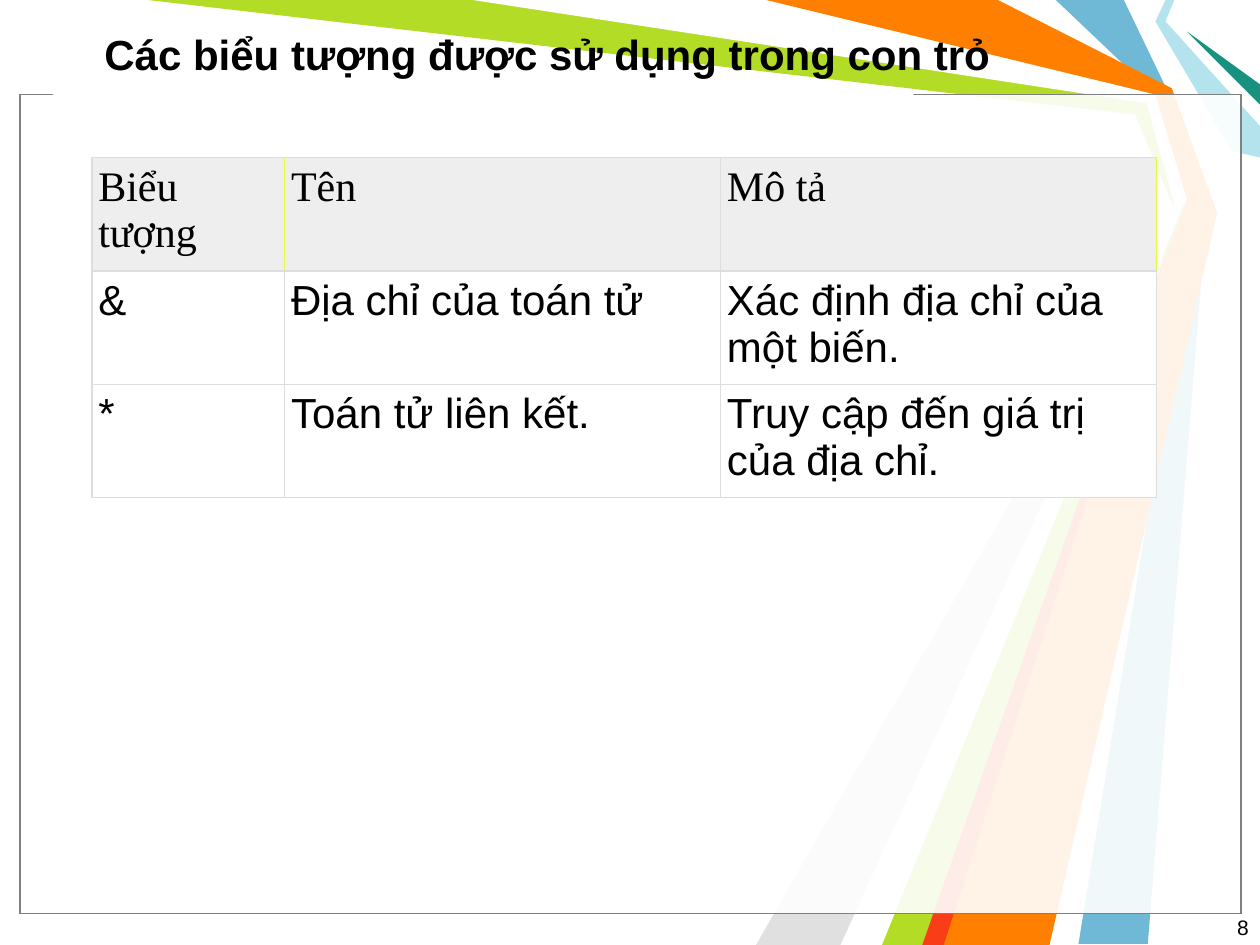
from lxml import etree
from pptx import Presentation
from pptx.dml.color import RGBColor
from pptx.enum.shapes import MSO_SHAPE
from pptx.enum.text import MSO_ANCHOR, PP_ALIGN
from pptx.oxml.ns import qn
from pptx.util import Inches, Pt

RECT = MSO_SHAPE.RECTANGLE
MIDDLE, TOP = MSO_ANCHOR.MIDDLE, MSO_ANCHOR.TOP
LEFT, RIGHT = PP_ALIGN.LEFT, PP_ALIGN.RIGHT

BLACK = RGBColor(0x00, 0x00, 0x00)
WHITE = RGBColor(0xFF, 0xFF, 0xFF)
BLUE = RGBColor(0x6F, 0xB9, 0xD7)
GREEN = RGBColor(0xB3, 0xDC, 0x27)
SILVER = RGBColor(0xE0, 0xE0, 0xE0)
PALE_BLUE = RGBColor(0xB4, 0xE3, 0xEE)
TEAL = RGBColor(0x18, 0x91, 0x80)
ORANGE = RGBColor(0xFF, 0x7F, 0x00)
RED = RGBColor(0xF9, 0x3D, 0x17)
GRAY = RGBColor(0x80, 0x80, 0x80)
HEADER_FILL = RGBColor(0xEE, 0xEE, 0xEE)
BORDER = RGBColor(0xDD, 0xDD, 0xDD)
YELLOW = RGBColor(0xE8, 0xFA, 0x3E)


def add_text(left, top, width, height, text, size, bold, align, anchor):
    tf = s.shapes.add_textbox(Inches(left), Inches(top), Inches(width), Inches(height)).text_frame
    tf.word_wrap = True
    tf.vertical_anchor = anchor
    tf.text = text
    p = tf.paragraphs[0]
    p.alignment = align
    font = p.runs[0].font
    font.name, font.size, font.bold = "Arial", Pt(size), bold
    font.color.rgb = BLACK


def set_borders(cell, colors):
    """Draw the left, right, top and bottom borders, in that order."""
    tcPr = cell._tc.get_or_add_tcPr()
    for i, (side, color) in enumerate(zip("LRTB", colors)):
        ln = etree.Element(qn(f"a:ln{side}"), w=str(Pt(0.75)))
        fill = etree.SubElement(ln, qn("a:solidFill"))
        etree.SubElement(fill, qn("a:srgbClr"), val=str(color))
        tcPr.insert(i, ln)


prs = Presentation()
prs.slide_width, prs.slide_height = Inches(10), Inches(7.5)
s = prs.slides.add_slide(prs.slide_layouts[6])
s.background.fill.solid()
s.background.fill.fore_color.rgb = WHITE

# Coloured ribbons, back to front
ribbons = [
    (BLUE, [(8.92, 0), (9.29, 0.77), (9.58, 1.67), (9.11, 7.49), (8.56, 7.49),
            (9.5, 1.67), (9.17, 0.75), (8.38, 0)]),
    (GREEN, [(1.17, 0), (3.83, 0), (9.14, 0.78), (9.42, 1.69), (7.42, 7.5),
             (6.92, 7.5), (9.35, 1.73), (9.01, 0.91)]),
    (SILVER, [(6.67, 7.5), (9.27, 1.81), (6, 7.5)]),
    (WHITE, [(3.75, 0), (9.1, 0.82), (9.32, 1.62), (6.75, 7.5), (7, 7.5),
             (9.41, 1.58), (9.17, 0.75), (6, 0)]),
    (PALE_BLUE, [(9.25, 0), (9.17, 0.17), (9.78, 1.2), (10, 1.25), (10, 1),
                 (9.25, 0.17), (9.32, 0)]),
    (TEAL, [(10, 0.83), (9.42, 0.25), (10, 0.67)]),
    (ORANGE, [(6.08, 0), (7.92, 0), (9.3, 0.7), (9.66, 1.69), (8.33, 7.5),
              (7.33, 7.5), (9.42, 1.58), (9.17, 0.75)]),
    (RED, [(7.32, 7.5), (9.32, 1.83), (7.49, 7.5)]),
]
for color, points in ribbons:
    start, *rest = [(Inches(x), Inches(y)) for x, y in points]
    builder = s.shapes.build_freeform(*start)
    builder.add_line_segments(rest, close=True)
    sp = builder.convert_to_shape()
    sp.shadow.inherit = False
    sp.fill.solid()
    sp.fill.fore_color.rgb = color
    sp.line.fill.background()

# Translucent content panel, laid twice
for line_color in (BLACK, GRAY):
    sp = s.shapes.add_shape(RECT, Inches(0.16), Inches(0.75), Inches(9.69), Inches(6.5))
    sp.shadow.inherit = False
    sp.fill.solid()
    sp.fill.fore_color.rgb = WHITE
    color_xml = sp.fill._xPr.find(qn("a:solidFill"))[0]
    etree.SubElement(color_xml, qn("a:alpha"), val="69000")
    sp.line.color.rgb = line_color
    sp.line.width = Pt(0.75)

# Gap in the panel's top edge
sp = s.shapes.add_shape(RECT, Inches(0.42), Inches(0.74), Inches(6.83), Inches(0.17))
sp.shadow.inherit = False
sp.fill.solid()
sp.fill.fore_color.rgb = WHITE
sp.line.fill.background()

add_text(0.73, 0.08, 9.11, 0.69, "Các biểu tượng được sử dụng trong con trỏ", 24, True, LEFT, MIDDLE)

rows = [
    ("Biểu tượng", "Tên", "Mô tả"),
    ("&", "Địa chỉ của toán tử", "Xác định địa chỉ của một biến."),
    ("*", "Toán tử liên kết.", "Truy cập đến giá trị của địa chỉ."),
]
table = s.shapes.add_table(3, 3, Inches(0.73), Inches(1.25), Inches(8.44), Inches(1.94)).table
for column, width in zip(table.columns, (1.53, 3.46, 3.46)):
    column.width = Inches(width)
for row, height in zip(table.rows, (0.52, 0.52, 0.9)):
    row.height = Inches(height)
for i, texts in enumerate(rows):
    for j, text in enumerate(texts):
        cell = table.cell(i, j)
        cell.margin_left = cell.margin_right = Inches(0.05)
        cell.margin_top = cell.margin_bottom = Inches(0.05)
        cell.text = text
        font = cell.text_frame.paragraphs[0].runs[0].font
        font.name = "Arial" if i else "Times New Roman"
        font.size, font.bold = Pt(24), False
        font.color.rgb = BLACK
        cell.fill.solid()
        cell.fill.fore_color.rgb = WHITE if i else HEADER_FILL
        left = YELLOW if (i, j) == (0, 1) else BORDER
        right = YELLOW if i == 0 and j != 1 else BORDER
        set_borders(cell, (left, right, BORDER, BORDER))

add_text(9.46, 7.21, 0.55, 0.33, "8", 12, False, RIGHT, TOP)

prs.save("out.pptx")
